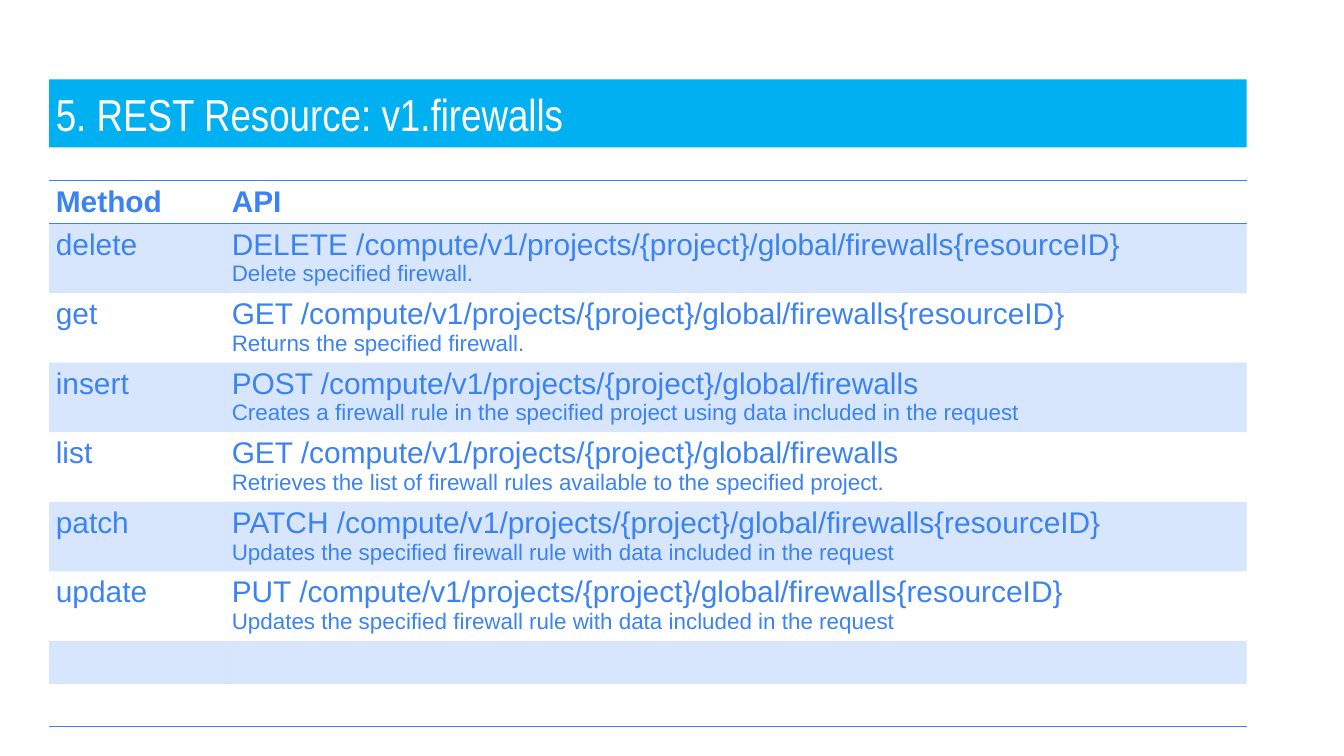
from dataclasses import dataclass

from lxml import etree
from pptx import Presentation
from pptx import util as u
from pptx.dml import color
from pptx.enum import shapes, text
from pptx.oxml import ns


@dataclass(frozen=True)
class Theme:
    banner: str = "00B0F0"
    accent: str = "3B83F3"
    light: str = "FFFFFF"
    band_alpha: int = 20
    title_font: str = "Arial Narrow"
    body_font: str = "Arial"
    title_size: int = 48
    method_size: int = 32
    note_size: int = 24
    rule_width: int = 1


THEME = Theme()
PLAIN_TABLE = "{2D5ABB26-0587-4C30-8999-92F81FD0307C}"
RESOURCE = "/compute/v1/projects/{project}/global/firewalls"
SINGLE = RESOURCE + "{resourceID}"

METHODS = [
    ("delete", "DELETE " + SINGLE, "Delete specified firewall."),
    ("get", "GET " + SINGLE, "Returns the specified firewall."),
    ("insert", "POST " + RESOURCE,
     "Creates a firewall rule in the specified project using data included in the request"),
    ("list", "GET " + RESOURCE,
     "Retrieves the list of firewall rules available to the specified project."),
    ("patch", "PATCH " + SINGLE,
     "Updates the specified firewall rule with data included in the request"),
    ("update", "PUT " + SINGLE,
     "Updates the specified firewall rule with data included in the request"),
]


def add_span(para, words, font, size, hue, bold=False):
    span = para.add_run()
    span.text = words
    span.font.name = font
    span.font.size = u.Pt(size)
    span.font.bold = bold
    span.font.color.rgb = color.RGBColor.from_string(hue)


def add_title(page, left, top, width, height):
    banner = page.shapes.add_shape(
        shapes.MSO_SHAPE.RECTANGLE, u.Cm(left), u.Cm(top), u.Cm(width), u.Cm(height))
    banner.shadow.inherit = False
    banner.fill.solid()
    banner.fill.fore_color.rgb = color.RGBColor.from_string(THEME.banner)
    banner.line.fill.background()
    frame = banner.text_frame
    frame.word_wrap = True
    frame.vertical_anchor = text.MSO_ANCHOR.MIDDLE
    frame.margin_left = frame.margin_right = u.Cm(0.25)
    frame.margin_top = frame.margin_bottom = u.Cm(0.25)
    para = frame.paragraphs[0]
    para.alignment = text.PP_ALIGN.LEFT
    add_span(para, "5. REST Resource: v1.firewalls",
             THEME.title_font, THEME.title_size, THEME.light)


def write_cell(cell, lines, bold=False):
    frame = cell.text_frame
    for index, (words, size) in enumerate(lines):
        para = frame.add_paragraph() if index else frame.paragraphs[0]
        add_span(para, words, THEME.body_font, size, THEME.accent, bold)


def shade_cell(cell, banded):
    if not banded:
        cell.fill.background()
        return
    cell.fill.solid()
    cell.fill.fore_color.rgb = color.RGBColor.from_string(THEME.accent)
    tint = cell._tc.tcPr.find(".//" + ns.qn("a:srgbClr"))
    etree.SubElement(tint, ns.qn("a:alpha"), val=str(THEME.band_alpha * 1000))


def rule_cell(cell, sides):
    properties = cell._tc.get_or_add_tcPr()
    for position, side in enumerate(sides):
        line = etree.Element(ns.qn("a:ln" + side), w=str(u.Pt(THEME.rule_width)))
        fill = etree.SubElement(line, ns.qn("a:solidFill"))
        etree.SubElement(fill, ns.qn("a:srgbClr"), val=THEME.accent)
        properties.insert(position, line)


def add_methods_table(page, left, top, width, method_width):
    single_height, double_height = 1.62, 2.63
    heights = [single_height] + [double_height] * len(METHODS) + [single_height] * 2
    frame = page.shapes.add_table(
        len(heights), 2, u.Cm(left), u.Cm(top), u.Cm(width), u.Cm(sum(heights)))
    table = frame.table
    table.first_row = table.horz_banding = False
    table._tbl.tblPr.find(ns.qn("a:tableStyleId")).text = PLAIN_TABLE
    table.columns[0].width = u.Cm(method_width)
    table.columns[1].width = u.Cm(width - method_width)

    rules = {0: "TB", len(heights) - 1: "B"}
    for index, height in enumerate(heights):
        table.rows[index].height = u.Cm(height)
        for cell in table.rows[index].cells:
            cell.margin_left = cell.margin_right = u.Cm(0.25)
            cell.margin_top = cell.margin_bottom = u.Cm(0.17)
            shade_cell(cell, index % 2 == 1)
            rule_cell(cell, rules.get(index, ""))

    for column, heading in enumerate(("Method", "API")):
        write_cell(table.cell(0, column), [(heading, THEME.method_size)], bold=True)
    for index, (method, call, note) in enumerate(METHODS, start=1):
        write_cell(table.cell(index, 0), [(method, THEME.method_size)])
        write_cell(table.cell(index, 1),
                   [(call, THEME.method_size), (note, THEME.note_size)])


def main():
    deck = Presentation()
    deck.slide_width, deck.slide_height = u.Cm(50.8), u.Cm(28.58)
    page = deck.slides.add_slide(deck.slide_layouts[6])
    left, width = 1.86, 45.26
    add_title(page, left, 3, width, 2.57)
    add_methods_table(page, left, 6.83, width, 6.65)
    deck.save("out.pptx")


if __name__ == "__main__":
    main()
